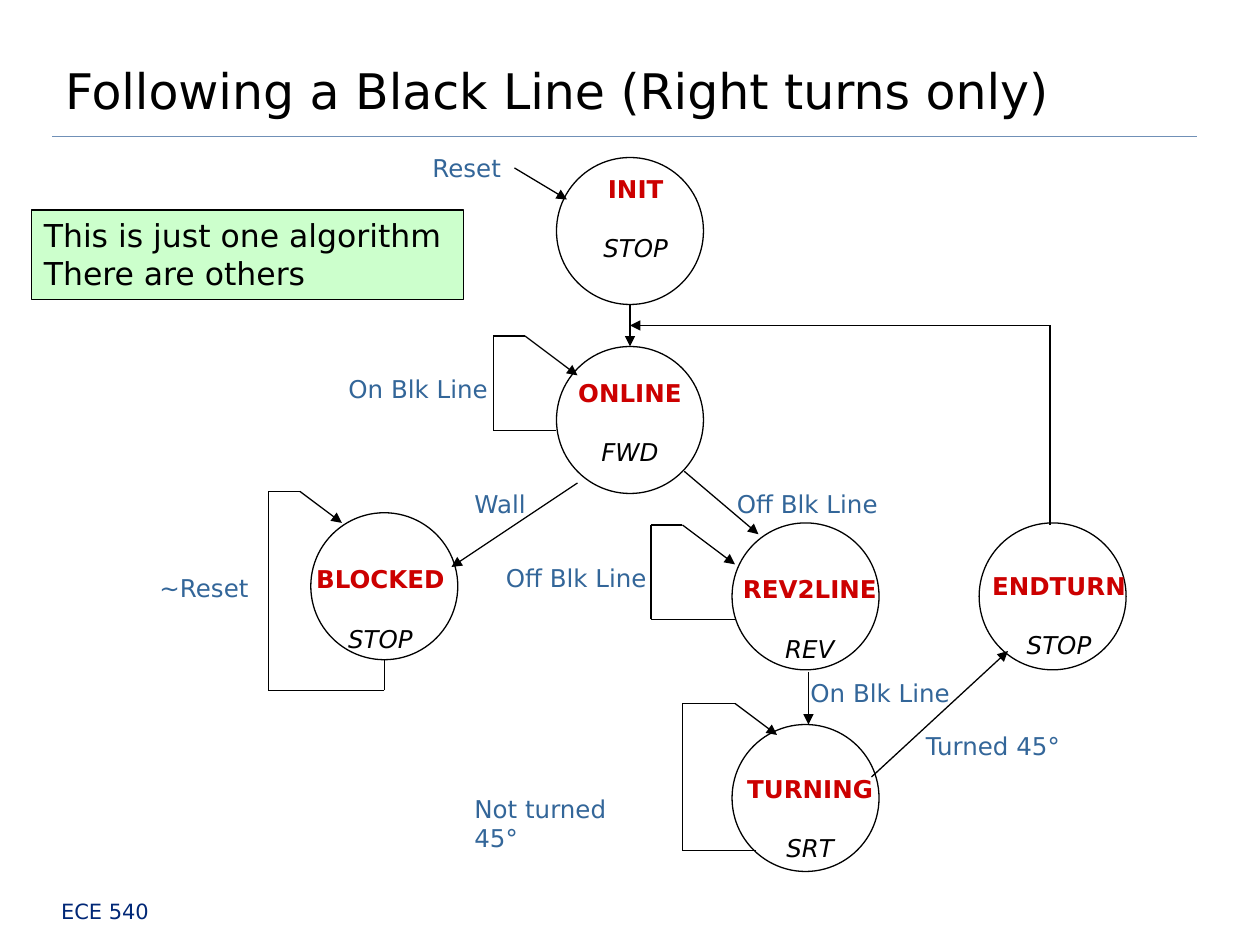
from dataclasses import dataclass
from itertools import pairwise

from lxml.etree import SubElement
from pptx import Presentation
from pptx.dml.color import RGBColor
from pptx.enum.shapes import MSO_CONNECTOR, MSO_SHAPE
from pptx.enum.text import MSO_ANCHOR, PP_ALIGN
from pptx.oxml.ns import qn
from pptx.util import Pt

HUES = {"ink": "000000", "state": "CC0000", "label": "336699",
        "rule": "7090B7", "foot": "002776", "note": "CCFFCC"}
FACE = "DejaVu Sans"
SIZE = 84  # state diameter
THIN = 0.75

Point = tuple[float, float]


@dataclass
class State:
    name: str
    action: str
    left: float
    top: float
    text: tuple[float, float, float]  # left, top, width of the caption


@dataclass
class Label:
    text: str
    left: float
    top: float
    width: float
    wrap: bool = False


STATES = [
    State("INIT", "STOP", 318, 90, (337, 96, 52.5)),
    State("ONLINE", "FWD", 318, 198, (322, 212.5, 76)),
    State("REV2LINE", "REV", 418.3, 298.8, (416, 324.7, 93.6)),
    State("TURNING", "SRT", 418.3, 414, (418.3, 438.5, 89.3)),
    State("ENDTURN", "STOP", 559.5, 298.8, (559.5, 322.6, 91.4)),
    State("BLOCKED", "STOP", 177.6, 293, (173.5, 319, 87.8)),
]

LABELS = [
    Label("Reset", 240, 84, 54),
    Label("On Blk Line", 192, 210, 95),
    Label("Wall", 264, 276, 44.6),
    Label("Off Blk Line", 414, 276, 95.8),
    Label("~Reset", 84, 324, 65.5),
    Label("Off Blk Line", 282, 318, 95.8),
    Label("On Blk Line", 456, 384, 95),
    Label("Turned 45°", 522, 414, 92),
    Label("Not turned 45°", 264, 450, 108, True),
]

# Each route ends in an arrowhead
ROUTES: list[list[Point]] = [
    [(294, 96), (324, 114)],
    [(360, 174), (360, 198)],
    [(330, 276), (258, 324)],
    [(391, 269.3), (433.4, 305.3)],
    [(462, 384), (462, 414)],
    [(498, 444), (576, 372)],
    [(600, 300), (600, 186), (360, 186)],
    [(219.6, 377), (219.6, 394.5), (153.4, 394.5), (153.4, 280.8),
     (171.4, 280.8), (195.4, 298.8)],
    [(432, 486), (390, 486), (390, 402), (420, 402), (444, 420)],
]
LOOP: list[Point] = [(0, 54), (-36, 54), (-36, 0), (-18, 0), (12, 22.5)]
# The REV2LINE loop starts further left of its state
ROUTES.append([(318 + x, 192 + y) for x, y in LOOP])
ROUTES.append([(420, 354)] + [(408 + x, 300 + y) for x, y in LOOP[1:]])


def hue(key: str) -> RGBColor:
    return RGBColor.from_string(HUES[key])


def style(para, text: str, key: str, size: float, **look) -> None:
    run = para.add_run()
    run.text = text
    run.font.color.rgb = hue(key)
    for name, value in {"name": FACE, "size": Pt(size), **look}.items():
        setattr(run.font, name, value)


def add_box(slide, left: float, top: float, width: float, height: float,
            wrap: bool = False):
    box = slide.shapes.add_textbox(Pt(left), Pt(top), Pt(width), Pt(height))
    box.text_frame.word_wrap = wrap
    return box.text_frame


def add_line(slide, start: Point, end: Point, key: str = "ink",
             arrow: bool = False) -> None:
    line = slide.shapes.add_connector(
        MSO_CONNECTOR.STRAIGHT, *(Pt(v) for v in (*start, *end)))
    line.line.color.rgb = hue(key)
    line.line.width = Pt(THIN)
    props = line.element.find(qn("p:spPr"))
    if arrow:
        SubElement(props.find(qn("a:ln")), qn("a:tailEnd"), type="triangle")
    SubElement(props, qn("a:effectLst"))


def add_route(slide, points: list[Point]) -> None:
    for start, end in pairwise(points):
        add_line(slide, start, end, arrow=end == points[-1])


def add_shape(slide, kind, left: float, top: float, width: float,
              height: float):
    shape = slide.shapes.add_shape(
        kind, Pt(left), Pt(top), Pt(width), Pt(height))
    shape.shadow.inherit = False
    shape.line.color.rgb = hue("ink")
    shape.line.width = Pt(THIN)
    return shape


def add_state(slide, state: State) -> None:
    ring = add_shape(slide, MSO_SHAPE.OVAL, state.left, state.top, SIZE, SIZE)
    ring.fill.background()
    frame = add_box(slide, *state.text, 57.6)
    name, action = frame.paragraphs[0], frame.add_paragraph()
    name.alignment = action.alignment = PP_ALIGN.CENTER
    action.space_before = Pt(17)
    style(name, state.name, "state", 14, bold=True)
    style(action, state.action, "ink", 14, italic=True)


def add_label(slide, label: Label) -> None:
    frame = add_box(slide, label.left, label.top, label.width, 24, label.wrap)
    style(frame.paragraphs[0], label.text, "label", 14)


def add_note(slide, lines: list[str]) -> None:
    note = add_shape(slide, MSO_SHAPE.RECTANGLE, 18, 120, 247, 51)
    note.fill.solid()
    note.fill.fore_color.rgb = hue("note")
    frame = note.text_frame
    frame.word_wrap = False
    frame.vertical_anchor = MSO_ANCHOR.TOP
    for i, text in enumerate(lines):
        para = frame.add_paragraph() if i else frame.paragraphs[0]
        para.alignment = PP_ALIGN.LEFT
        style(para, text, "ink", 18)


def add_title(slide, text: str) -> None:
    title = slide.shapes.title
    place = {"left": 30, "top": 18, "width": 600, "height": 54}
    for name, value in place.items():
        setattr(title, name, Pt(value))
    frame = title.text_frame
    frame.vertical_anchor = MSO_ANCHOR.BOTTOM
    frame.paragraphs[0].alignment = PP_ALIGN.LEFT
    style(frame.paragraphs[0], text, "ink", 28)


def main() -> None:
    deck = Presentation()
    deck.slide_width, deck.slide_height = Pt(720), Pt(540)
    slide = deck.slides.add_slide(deck.slide_layouts[5])

    # Title, rule and footer
    add_title(slide, "Following a Black Line (Right turns only)")
    add_line(slide, (30, 78), (684, 78), "rule")
    foot = add_box(slide, 18, 510, 84, 19.5).paragraphs[0]
    foot.alignment = PP_ALIGN.CENTER
    style(foot, "ECE 540", "foot", 12)

    # State diagram
    for state in STATES:
        add_state(slide, state)
    for route in ROUTES:
        add_route(slide, route)
    for label in LABELS:
        add_label(slide, label)

    # Side note
    add_note(slide, ["This is just one algorithm", "There are others"])
    deck.save("out.pptx")


if __name__ == "__main__":
    main()
